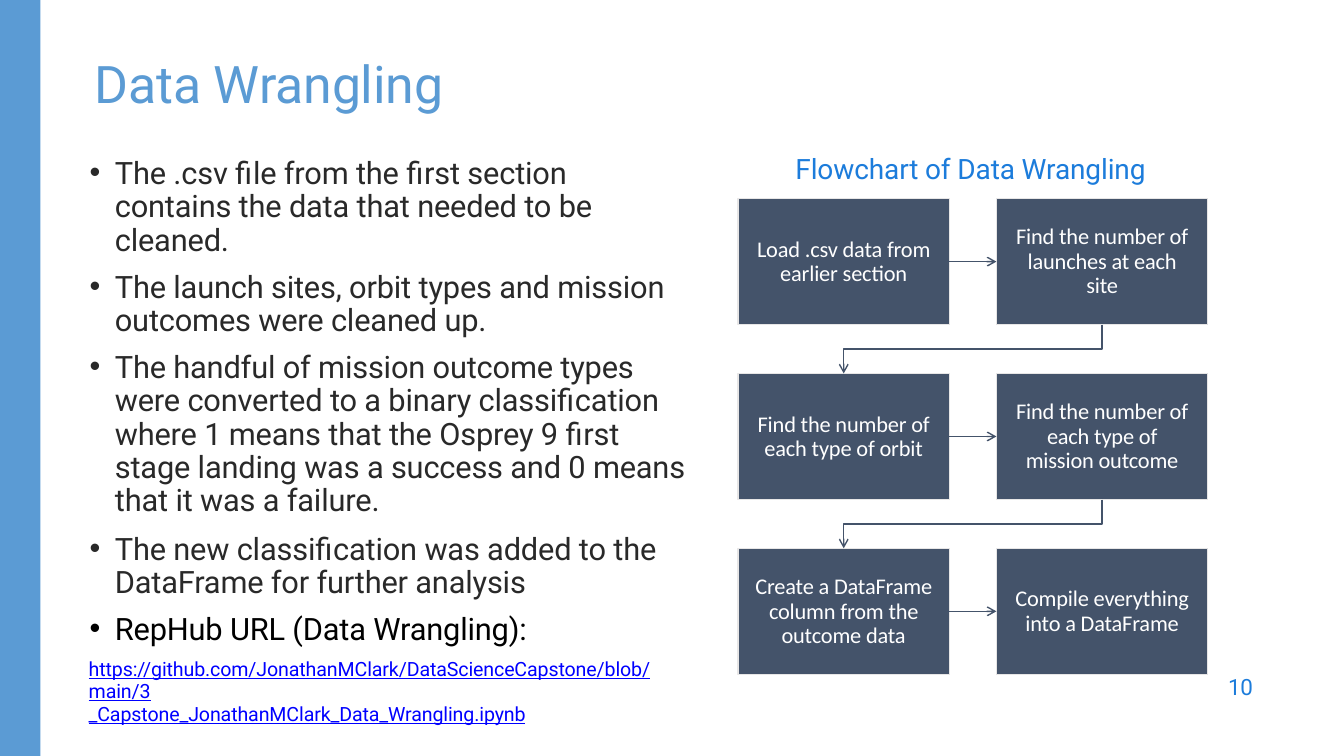
import pptx
import pptx.util
import pptx.dml.color
import pptx.enum.shapes
import pptx.enum.text
import pptx.oxml
import pptx.oxml.ns

Inches, Pt = pptx.util.Inches, pptx.util.Pt
PP_ALIGN, MSO_ANCHOR = pptx.enum.text.PP_ALIGN, pptx.enum.text.MSO_ANCHOR
SLIDE_W, SLIDE_H = 13.33, 7.5
COLORS = {
    "band": "5B9BD4", "title": "5B9BD4", "accent": "1C7CDB", "body": "292929",
    "black": "000000", "link": "0000FF", "node": "44536A", "edge": "E7E6E6",
    "white": "FFFFFF",
}
POINTS = [
    ("The .csv file from the first section\vcontains the data that needed to be cleaned.", 0, "body"),
    ("The launch sites, orbit types and mission outcomes were cleaned up.", 10, "body"),
    ("The handful of mission outcome types\vwere converted to a binary classification "
     "where 1 means that the Osprey 9 first\vstage landing was a success and 0 means "
     "that it was a failure.", 9.6, "body"),
    ("The new classification was added to the DataFrame for further analysis", 10.8, "body"),
    ("RepHub URL (Data Wrangling):", 9.5, "black"),
]
LINK = [
    ("https://github.com/JonathanMClark/DataScienceCapstone/blob/main/3", 8.5),
    ("_Capstone_JonathanMClark_Data_Wrangling.ipynb", 0),
]
STEPS = [
    ["Load .csv data from earlier section", "Find the number of launches at each site"],
    ["Find the number of each type of orbit", "Find the number of each type of mission outcome"],
    ["Create a DataFrame column from the outcome data", "Compile everything into a DataFrame"],
]


def rgb(name):
    """Return the named colour."""
    return pptx.dml.color.RGBColor.from_string(COLORS[name])


def xml(tag, **attrs):
    """Return a drawing element with the given attributes."""
    el = pptx.oxml.parse_xml(f"<a:{tag} {pptx.oxml.ns.nsdecls('a')}/>")
    for key, value in attrs.items():
        el.set(key, str(value))
    return el


def style(p, size, color, font="Roboto", underline=None):
    """Format every run of a paragraph."""
    for r in p.runs:
        r.font.size, r.font.name, r.font.underline = Pt(size), font, underline
        r.font.color.rgb = rgb(color)
        r.font._element.set("spc", "-10")


def text_area(s, box):
    """Add a wrapping text box without margins and return its frame."""
    tf = s.shapes.add_textbox(*map(Inches, box)).text_frame
    tf.word_wrap = True
    tf.margin_left = tf.margin_right = tf.margin_top = tf.margin_bottom = 0
    return tf


def label(s, box, text, size, color):
    """Add a single-line label."""
    tf = text_area(s, box)
    tf.text = text
    style(tf.paragraphs[0], size, color)


def side_band(s, box):
    """Draw the coloured band along the slide's edge."""
    sp = s.shapes.add_shape(pptx.enum.shapes.MSO_SHAPE.RECTANGLE, *map(Inches, box))
    sp.shadow.inherit = False
    sp.fill.solid()
    sp.fill.fore_color.rgb = rgb("band")
    sp.line.fill.background()


def summary(s, box):
    """Place the bulleted points and the link below them."""
    tf = text_area(s, box)
    p = tf.paragraphs[0]
    for text, before, color in POINTS:
        if before:
            p = tf.add_paragraph()
        p.text = text
        pPr = p._p.get_or_add_pPr()
        pPr.set("marL", str(Inches(0.26)))
        pPr.set("indent", str(Inches(-0.25)))
        pPr.append(xml("buFont", typeface="Arial"))
        pPr.append(xml("buChar", char="•"))
        p.line_spacing, p.space_before = Pt(23.8), Pt(before)
        style(p, 22, color)
    for text, before in LINK:
        p = tf.add_paragraph()
        p.text = text
        p.line_spacing, p.space_before = Pt(15.9), Pt(before)
        style(p, 14, "link", underline=True)


def step(s, box, text):
    """Add one step of the flowchart."""
    sp = s.shapes.add_shape(pptx.enum.shapes.MSO_SHAPE.RECTANGLE, *map(Inches, box))
    sp.shadow.inherit = False
    sp.fill.solid()
    sp.fill.fore_color.rgb = rgb("node")
    sp.line.color.rgb, sp.line.width = rgb("edge"), Pt(0.96)
    tf = sp.text_frame
    tf.word_wrap, tf.vertical_anchor = True, MSO_ANCHOR.MIDDLE
    tf.margin_left = tf.margin_right = Inches(0.15)
    tf.text = text
    p = tf.paragraphs[0]
    p.alignment, p.line_spacing = PP_ALIGN.CENTER, Pt(17.5)
    style(p, 16, "white", "Calibri")
    return sp


def arrow_line(sp):
    """Give a line its colour, width and open arrowhead."""
    sp.line.color.rgb, sp.line.width = rgb("node"), Pt(1)
    sp.line._get_or_add_ln().append(xml("tailEnd", type="arrow", w="med", len="med"))


def next_step(s, start, end):
    """Join two neighbouring steps with a straight arrow."""
    line = s.shapes.add_connector(pptx.enum.shapes.MSO_CONNECTOR.STRAIGHT, 0, 0, 0, 0)
    line.begin_connect(start, 3)
    line.end_connect(end, 1)
    arrow_line(line)
    line._element.spPr.append(xml("effectLst"))


def next_row(s, start, end):
    """Lead from the last step of a row to the first of the next."""
    x1, y1 = start.left + start.width // 2, start.top + start.height
    x2, y2 = end.left + end.width // 2, end.top
    middle = (y1 + y2) // 2
    path_builder = s.shapes.build_freeform(x1, y1)
    path_builder.add_line_segments([(x1, middle), (x2, middle), (x2, y2)], close=False)
    sp = path_builder.convert_to_shape()
    sp.shadow.inherit = False
    sp.fill.background()
    arrow_line(sp)


def flowchart(s, box):
    """Lay out the steps in a grid and join them in reading order."""
    x, y, w, h = box
    node_w, node_h = 0.45 * w, 0.265 * h
    pitch_x = w - node_w
    pitch_y = (h - node_h) / (len(STEPS) - 1)
    previous = None
    for i, row in enumerate(STEPS):
        first, last = [
            step(s, (x + j * pitch_x, y + i * pitch_y, node_w, node_h), text)
            for j, text in enumerate(row)
        ]
        next_step(s, first, last)
        if previous:
            next_row(s, previous, first)
        previous = last


def main():
    """Build the slide and save it."""
    prs = pptx.Presentation()
    prs.slide_width, prs.slide_height = Inches(SLIDE_W), Inches(SLIDE_H)
    s = prs.slides.add_slide(prs.slide_layouts[6])
    side_band(s, (0, 0, 0.03 * SLIDE_W, SLIDE_H))
    label(s, (0.94, 0.51, 4, 0.64), "Data Wrangling", 37, "title")
    summary(s, (0.88, 1.56, 6.06, 5.09))
    label(s, (7.89, 1.5, 3.8, 0.36), "Flowchart of Data Wrangling", 20, "accent")
    flowchart(s, (7.32, 1.97, 4.66, 4.72))
    label(s, (12.18, 6.68, 0.33, 0.28), "10", 16, "accent")
    prs.save("out.pptx")


if __name__ == "__main__":
    main()
